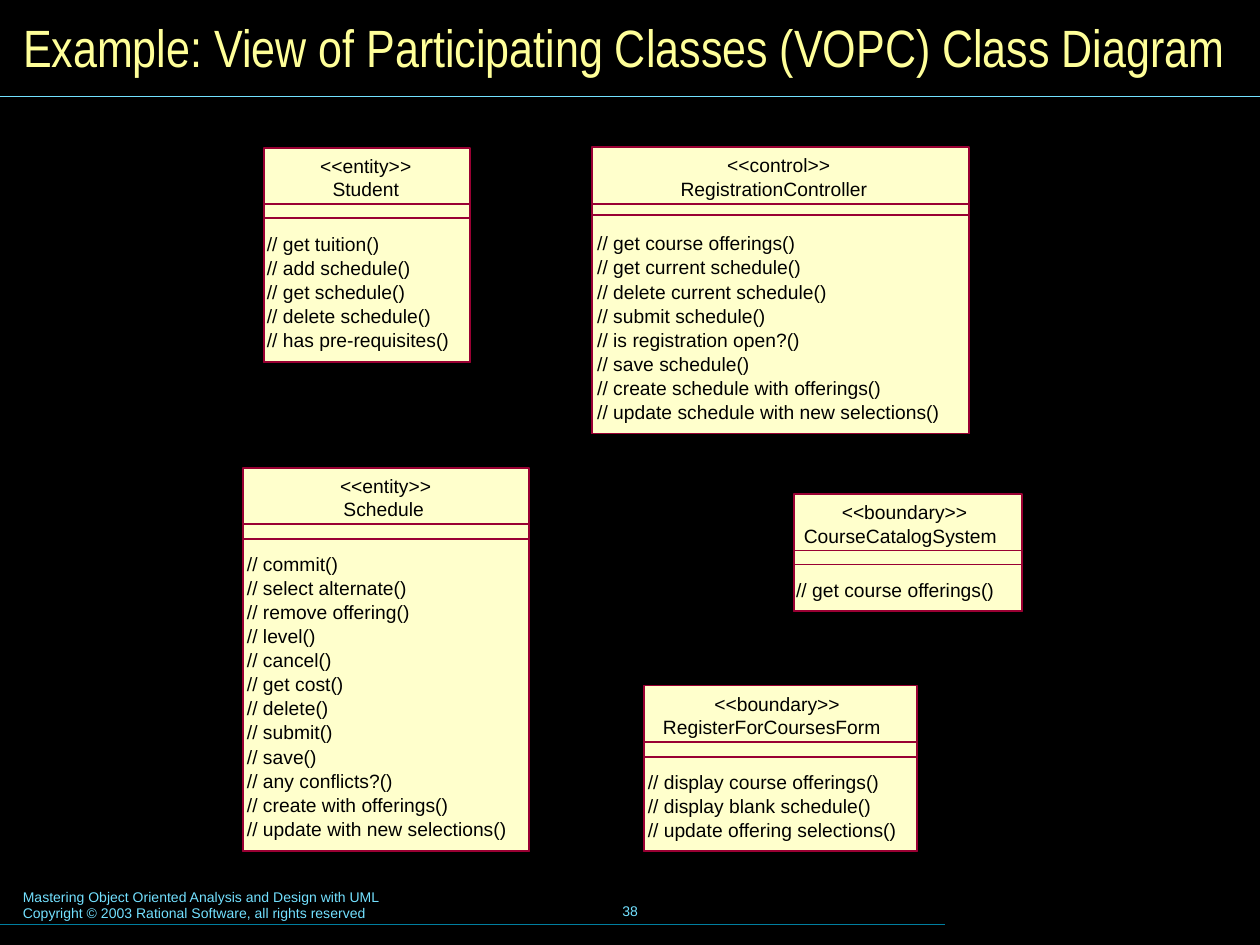
"""Build the View of Participating Classes (VOPC) class diagram slide."""
from dataclasses import dataclass

from lxml.etree import SubElement
from pptx import Presentation
from pptx.dml.color import RGBColor
from pptx.enum.shapes import MSO_CONNECTOR as Connector, MSO_SHAPE as Preset
from pptx.enum.text import MSO_ANCHOR as Anchor, MSO_AUTO_SIZE as AutoSize, PP_ALIGN as Align
from pptx.oxml.ns import qn
from pptx.slide import Slide
from pptx.util import Cm, Pt

COLORS = {
    "background": "000000",
    "title": "FFFF99",
    "footer": "73E1FF",
    "footer_rule": "007E9F",
    "class_fill": "FFFFCC",
    "class_line": "990033",
    "class_text": "000000",
}
SLIDE_WIDTH, SLIDE_HEIGHT = 25.4, 19.05
STEREOTYPE_OFFSET, NAME_OFFSET = 0.13, 0.6
HEADER_HEIGHT = 1.14
OPERATIONS_OFFSET, OPERATION_PITCH = 1.7, 3.4 / 7
LABEL_HEIGHT, LABEL_SLACK = 0.46, 0.12


@dataclass(frozen=True)
class Label:
    text: str
    width: float
    center: float = 0


@dataclass(frozen=True)
class UmlClass:
    left: float
    top: float
    width: float
    height: float
    attributes_height: float
    inset: float
    stereotype: Label
    name: Label
    operations: tuple[Label, ...]


CLASSES = (
    UmlClass(
        5.33, 2.98, 4.14, 4.32, 0.28, 0.05,
        Label("<<entity>>", 1.85, 7.38), Label("Student", 1.35, 7.38),
        (
            Label("// get tuition()", 2.29),
            Label("// add schedule()", 2.9),
            Label("// get schedule()", 2.79),
            Label("// delete schedule()", 3.3),
            Label("// has pre-requisites()", 3.68),
        ),
    ),
    UmlClass(
        11.94, 2.97, 7.59, 5.77, 0.23, 0.1,
        Label("<<control>>", 2.08, 15.7), Label("RegistrationController", 3.76, 15.6),
        (
            Label("// get course offerings()", 4.01),
            Label("// get current schedule()", 4.11),
            Label("// delete current schedule()", 4.62),
            Label("// submit schedule()", 3.4),
            Label("// is registration open?()", 4.09),
            Label("// save schedule()", 3.07),
            Label("// create schedule with offerings()", 5.74),
            Label("// update schedule with new selections()", 6.91),
        ),
    ),
    UmlClass(
        16, 9.96, 4.6, 2.36, 0.28, 0.05,
        Label("<<boundary>>", 2.54, 18.24), Label("CourseCatalogSystem", 3.89, 18.15),
        (Label("// get course offerings()", 4.01),),
    ),
    UmlClass(
        12.98, 13.82, 5.51, 3.33, 0.3, 0.08,
        Label("<<boundary>>", 2.54, 15.67), Label("RegisterForCoursesForm", 4.39, 15.56),
        (
            Label("// display course offerings()", 4.67),
            Label("// display blank schedule()", 4.5),
            Label("// update offering selections()", 5.03),
        ),
    ),
    UmlClass(
        4.9, 9.43, 5.77, 7.72, 0.3, 0.08,
        Label("<<entity>>", 1.85, 7.78), Label("Schedule", 1.63, 7.74),
        (
            Label("// commit()", 1.83),
            Label("// select alternate()", 3.23),
            Label("// remove offering()", 3.3),
            Label("// level()", 1.4),
            Label("// cancel()", 1.7),
            Label("// get cost()", 1.96),
            Label("// delete()", 1.65),
            Label("// submit()", 1.73),
            Label("// save()", 1.4),
            Label("// any conflicts?()", 2.95),
            Label("// create with offerings()", 4.06),
            Label("// update with new selections()", 5.23),
        ),
    ),
)


def rgb(role: str) -> RGBColor:
    return RGBColor.from_string(COLORS[role])


def set_font(paragraph, size: float, role: str, face: str = "Arial") -> None:
    paragraph.font.name = face
    paragraph.font.size = Pt(size)
    paragraph.font.color.rgb = rgb(role)


def add_title(slide: Slide, text: str) -> None:
    title = slide.shapes.title
    title.left, title.top, title.width, title.height = Cm(0.21), Cm(0.21), Cm(25), Cm(1.47)
    frame = title.text_frame
    frame.text = text
    frame.auto_size = AutoSize.NONE
    frame.vertical_anchor = Anchor.MIDDLE
    frame.paragraphs[0].alignment = Align.LEFT
    set_font(frame.paragraphs[0], 30, "title", "Arial Narrow")


def add_rule(slide: Slide, y: float, length: float, role: str) -> None:
    rule = slide.shapes.add_connector(Connector.STRAIGHT, 0, Cm(y), Cm(length), Cm(y))
    rule.line.color.rgb = rgb(role)
    rule.line.width = Pt(0.75)
    SubElement(rule._element.spPr, qn("a:effectLst"))


def add_footer(slide: Slide, left: float, top: float, width: float, height: float,
               text: str, align: Align, anchor: Anchor) -> None:
    frame = slide.shapes.add_textbox(Cm(left), Cm(top), Cm(width), Cm(height)).text_frame
    frame.word_wrap = True
    frame.vertical_anchor = anchor
    frame.text = text
    for paragraph in frame.paragraphs:
        paragraph.alignment = align
        set_font(paragraph, 8, "footer")


def add_label(slide: Slide, label: Label, left: float, top: float) -> None:
    box = slide.shapes.add_textbox(
        Cm(left), Cm(top), Cm(label.width + LABEL_SLACK), Cm(LABEL_HEIGHT))
    frame = box.text_frame
    frame.margin_left = frame.margin_top = frame.margin_right = frame.margin_bottom = 0
    frame.word_wrap = True
    frame.auto_size = AutoSize.NONE
    frame.text = label.text
    set_font(frame.paragraphs[0], 11, "class_text")


def add_compartment(slide: Slide, uml: UmlClass, offset: float) -> None:
    compartment = slide.shapes.add_shape(
        Preset.RECTANGLE, Cm(uml.left), Cm(uml.top + offset), Cm(uml.width), Cm(uml.height - offset))
    compartment.shadow.inherit = False
    compartment.line.color.rgb = rgb("class_line")
    compartment.line.width = Pt(1)
    if offset:
        compartment.fill.background()
    else:
        compartment.fill.solid()
        compartment.fill.fore_color.rgb = rgb("class_fill")


def add_class(slide: Slide, uml: UmlClass) -> None:
    for offset in (0, HEADER_HEIGHT, HEADER_HEIGHT + uml.attributes_height):
        add_compartment(slide, uml, offset)
    for heading, offset in ((uml.stereotype, STEREOTYPE_OFFSET), (uml.name, NAME_OFFSET)):
        add_label(slide, heading, heading.center - heading.width / 2, uml.top + offset)
    for row, operation in enumerate(uml.operations):
        add_label(slide, operation, uml.left + uml.inset,
                  uml.top + OPERATIONS_OFFSET + row * OPERATION_PITCH)


def main() -> None:
    deck = Presentation()
    deck.slide_width, deck.slide_height = Cm(SLIDE_WIDTH), Cm(SLIDE_HEIGHT)
    slide = deck.slides.add_slide(deck.slide_layouts[5])
    slide.background.fill.solid()
    slide.background.fill.fore_color.rgb = rgb("background")
    add_footer(slide, 0.21, 17.78, 12.95, 0.94,
               "Mastering Object Oriented Analysis and Design with UML\n"
               "Copyright © 2003 Rational Software, all rights reserved", Align.LEFT, Anchor.TOP)
    add_footer(slide, 8.68, 17.73, 8.05, 1.27, "38", Align.CENTER, Anchor.MIDDLE)
    add_rule(slide, 18.63, SLIDE_WIDTH * 0.75, "footer_rule")
    add_rule(slide, 1.94, SLIDE_WIDTH, "footer")
    add_title(slide, "Example: View of Participating Classes (VOPC) Class Diagram")
    for uml in CLASSES:
        add_class(slide, uml)
    deck.save("out.pptx")


if __name__ == "__main__":
    main()
